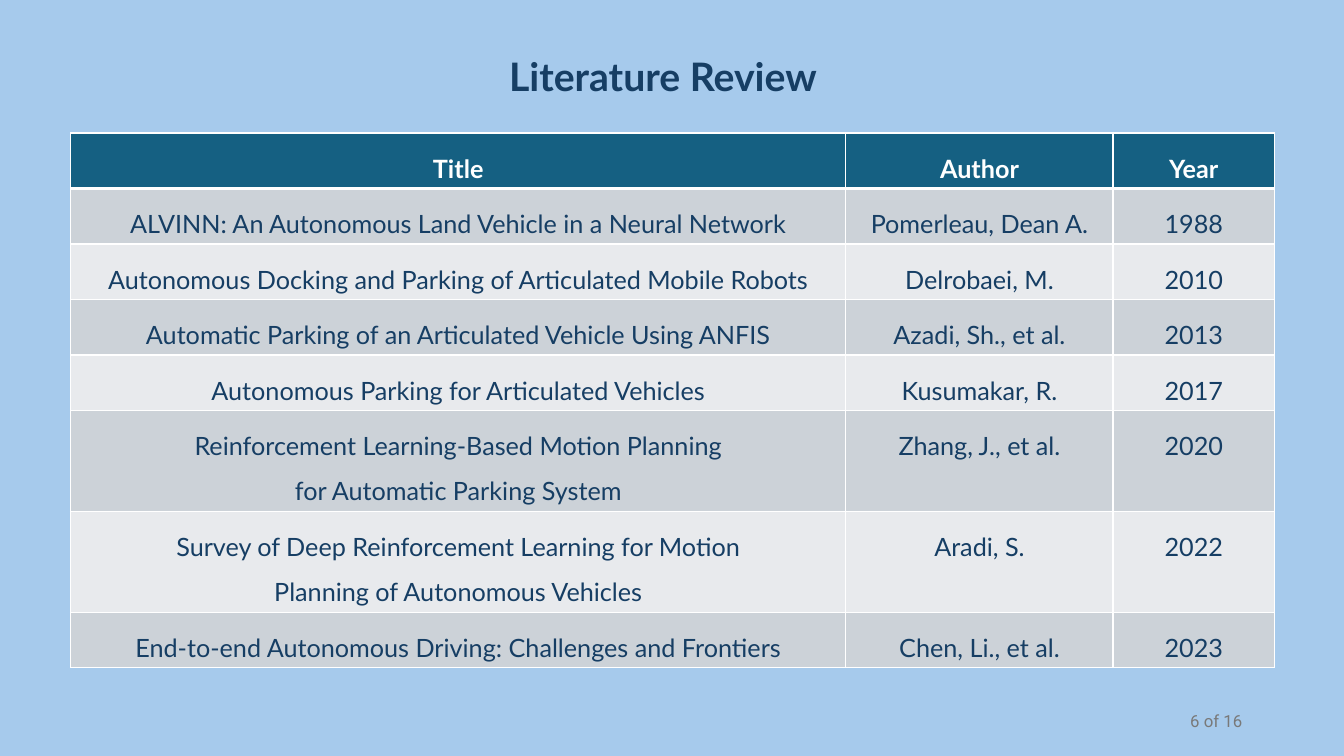
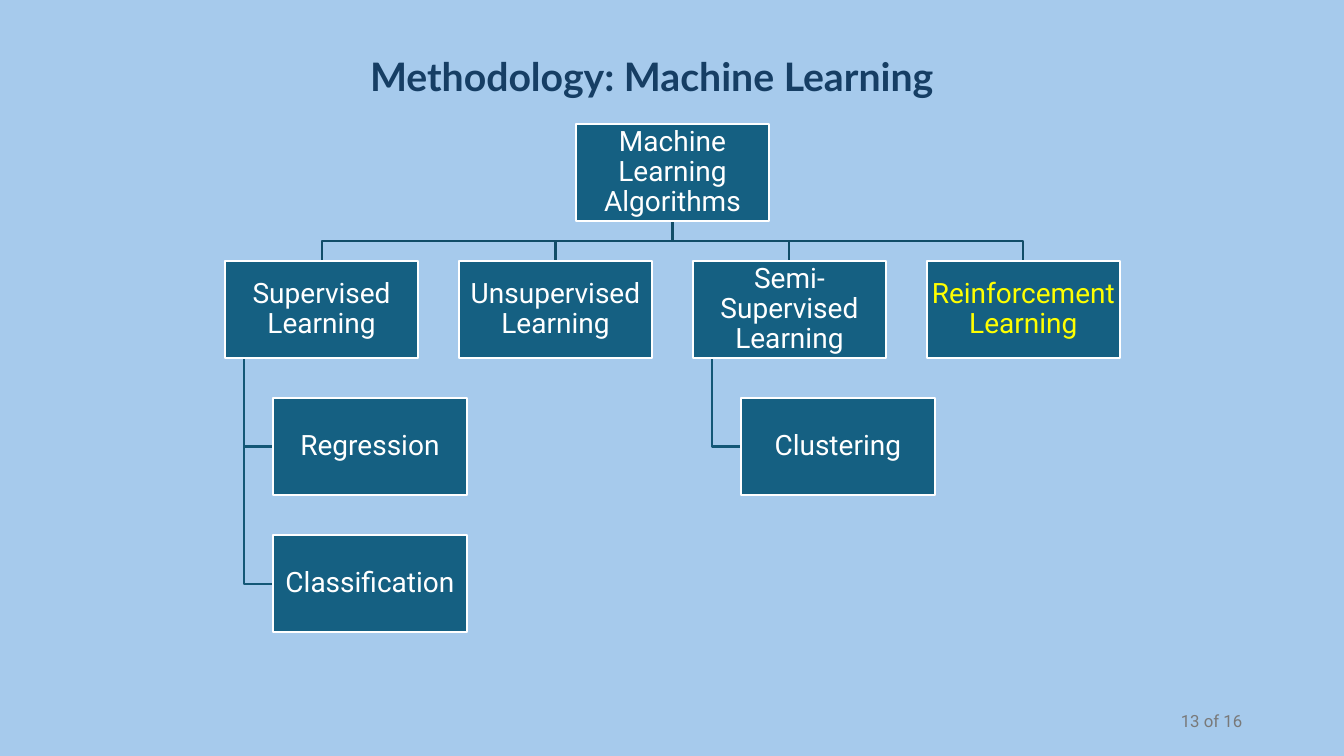
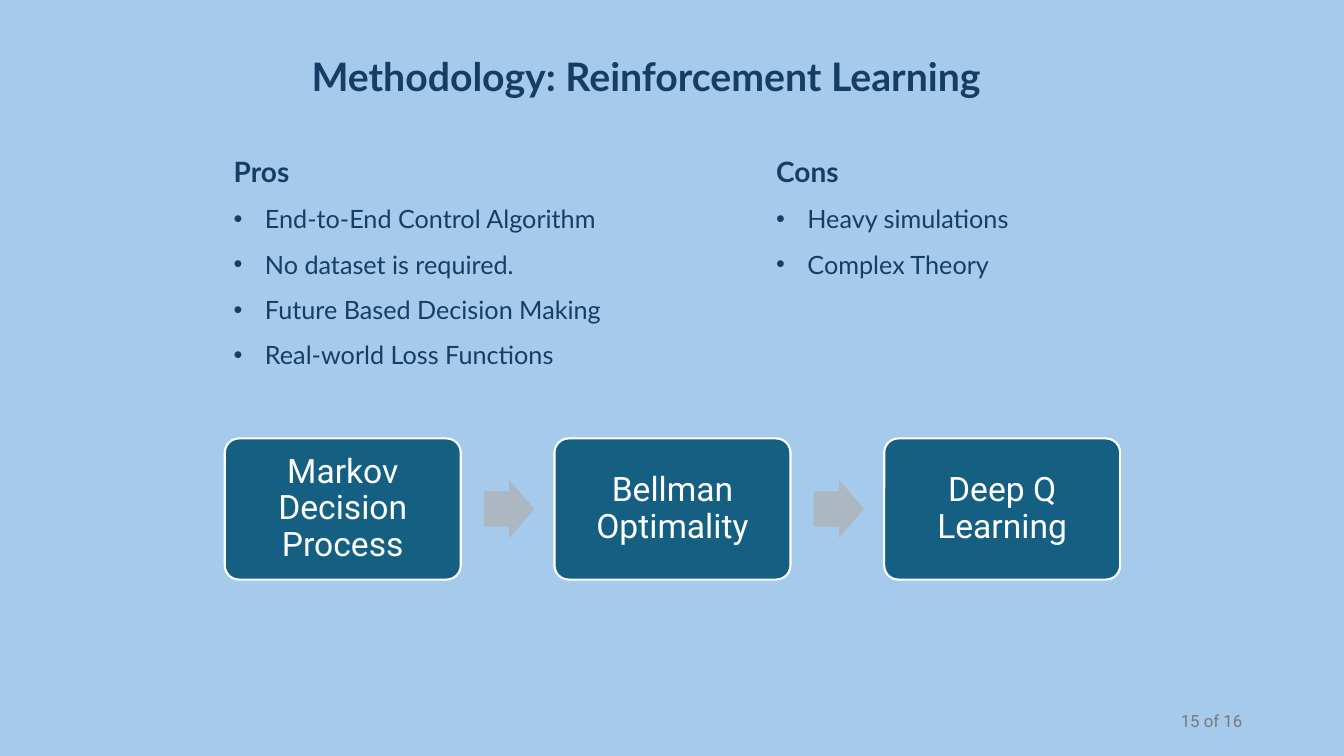
from lxml import etree
from pptx import Presentation
from pptx.dml.color import RGBColor
from pptx.enum.shapes import MSO_SHAPE
from pptx.enum.text import MSO_ANCHOR, MSO_AUTO_SIZE, PP_ALIGN
from pptx.oxml.ns import qn
from pptx.util import Pt

# Scale: 100 px to the inch
PX = 9144

# Enum members
RECT, ROUND_RECT = MSO_SHAPE.RECTANGLE, MSO_SHAPE.ROUNDED_RECTANGLE
RIGHT_ARROW = MSO_SHAPE.RIGHT_ARROW
LEFT, CENTER, RIGHT = PP_ALIGN.LEFT, PP_ALIGN.CENTER, PP_ALIGN.RIGHT
TOP, MIDDLE = MSO_ANCHOR.TOP, MSO_ANCHOR.MIDDLE
FIXED_SIZE = MSO_AUTO_SIZE.NONE

# Colours
SKY = RGBColor(0xA6, 0xCA, 0xEC)
NAVY = RGBColor(0x16, 0x3E, 0x64)
TEAL = RGBColor(0x15, 0x60, 0x82)
BRANCH = RGBColor(0x11, 0x4D, 0x68)
TWIG = RGBColor(0x13, 0x57, 0x76)
WHITE = RGBColor(0xFF, 0xFF, 0xFF)
YELLOW = RGBColor(0xFF, 0xFF, 0x00)
GREY = RGBColor(0x79, 0x79, 0x79)
ARROW_GREY = RGBColor(0xAC, 0xB7, 0xC1)
BAND_DARK = RGBColor(0xCC, 0xD2, 0xD8)
BAND_LIGHT = RGBColor(0xE8, 0xEA, 0xED)

# Text formats
TITLE = {"name": "Lato", "size": Pt(28), "bold": True}
HEADING = {"name": "Lato", "size": Pt(20), "bold": True}
HEADER_CELL = {"name": "Lato", "size": Pt(18), "bold": True}
BODY = {"name": "Lato", "size": Pt(18), "bold": False}
NODE = {"name": "Roboto", "size": Pt(20)}
STEP = {"name": "Roboto", "size": Pt(24)}
FOOTER = {"name": "Roboto", "size": Pt(12)}

PAGE_COUNT = 16
BULLET_INDENT = 31


class Slides:
    """Shared style, the deck and the slide being built."""

    def __init__(self):
        self.deck = Presentation()
        self.deck.slide_width = 1333 * PX
        self.deck.slide_height = 750 * PX
        fill = self.deck.slide_master.background.fill
        fill.solid()
        fill.fore_color.rgb = SKY
        self.page = None

    def start(self, title, left, width, number):
        """Add a slide with its title and page number."""
        self.page = self.deck.slides.add_slide(self.deck.slide_layouts[5])
        box = self.page.shapes.title
        self.place(box, left, 0, width, 93)
        self.frame(box, TOP)
        self.add_text(box.text_frame.paragraphs[0], title, TITLE, NAVY, LEFT, 2.0)
        box = self.text_box(942, 695, 300, 40, MIDDLE)
        self.add_text(box.text_frame.paragraphs[0], f"{number} of {PAGE_COUNT}",
                      FOOTER, GREY, RIGHT)

    def place(self, box, left, top, width, height):
        sides = {"left": left, "top": top, "width": width, "height": height}
        for side, length in sides.items():
            setattr(box, side, length * PX)

    def frame(self, box, anchor, inset=None):
        settings = {"word_wrap": True, "auto_size": FIXED_SIZE,
                    "vertical_anchor": anchor}
        if inset is not None:
            for side in ("left", "top", "right", "bottom"):
                settings[f"margin_{side}"] = inset * PX
        for name, value in settings.items():
            setattr(box.text_frame, name, value)

    def add_text(self, para, text, style, color, align=LEFT, spacing=1.0):
        para.alignment = align
        para.line_spacing = spacing
        span = para.add_run()
        span.text = text
        for name, value in style.items():
            setattr(span.font, name, value)
        span.font.color.rgb = color

    def text_box(self, left, top, width, height, anchor=TOP):
        box = self.page.shapes.add_textbox(
            left * PX, top * PX, width * PX, height * PX)
        self.frame(box, anchor)
        return box

    def shape(self, kind, left, top, width, height, fill, adjust=(), line=None):
        box = self.page.shapes.add_shape(
            kind, left * PX, top * PX, width * PX, height * PX)
        box.shadow.inherit = False
        box.fill.solid()
        box.fill.fore_color.rgb = fill
        for index, value in enumerate(adjust):
            box.adjustments[index] = value
        if line is None:
            box.line.fill.background()
        else:
            box.line.color.rgb = line
            box.line.width = Pt(1.5)
        return box

    def label_box(self, kind, left, top, width, height, text, style,
                  color=WHITE, inset=1, adjust=()):
        """A teal box with a white edge and centred text."""
        box = self.shape(kind, left, top, width, height, TEAL, adjust, WHITE)
        self.frame(box, MIDDLE, inset)
        self.add_text(box.text_frame.paragraphs[0], text, style, color, CENTER, 0.9)

    def elbow(self, points, color):
        """An open line with square bends."""
        builder = self.page.shapes.build_freeform(*points[0], scale=PX)
        builder.add_line_segments(points[1:], close=False)
        line = builder.convert_to_shape()
        line.shadow.inherit = False
        line.fill.background()
        line.line.color.rgb = color
        line.line.width = Pt(1.5)

    def bullet_list(self, left, top, width, height, heading, items):
        frame = self.text_box(left, top, width, height).text_frame
        self.add_text(frame.paragraphs[0], heading, HEADING, NAVY, spacing=1.5)
        for item in items:
            para = frame.add_paragraph()
            props = para._p.get_or_add_pPr()
            props.set("marL", str(BULLET_INDENT * PX))
            props.set("indent", str(-BULLET_INDENT * PX))
            etree.SubElement(props, qn("a:buFont")).set("typeface", "Arial")
            etree.SubElement(props, qn("a:buChar")).set("char", "•")
            self.add_text(para, item, BODY, NAVY, spacing=1.5)

    def table(self, left, top, widths, rows):
        """A header row and banded rows; a title's lines set its row height."""
        heights = [100 if "\n" in row[0] else 55 for row in rows]
        table = self.page.shapes.add_table(
            len(rows), len(widths), left * PX, top * PX,
            sum(widths) * PX, sum(heights) * PX).table
        table.horz_banding = False
        for column, width in zip(table.columns, widths):
            column.width = width * PX
        for index, values in enumerate(rows):
            table.rows[index].height = heights[index] * PX
            header = index == 0
            fill = TEAL if header else (BAND_LIGHT, BAND_DARK)[index % 2]
            style, color = (HEADER_CELL, WHITE) if header else (BODY, NAVY)
            for cell, value in zip(table.rows[index].cells, values):
                self.borders(cell, {"L": 1, "R": 1, "T": 3 if index == 1 else 1,
                                    "B": 3 if header else 1})
                cell.fill.solid()
                cell.fill.fore_color.rgb = fill
                frame = cell.text_frame
                for number, text in enumerate(value.split("\n")):
                    para = frame.add_paragraph() if number else frame.paragraphs[0]
                    self.add_text(para, text, style, color, CENTER, 1.5)

    def borders(self, cell, points):
        props = cell._tc.get_or_add_tcPr()
        for side, width in points.items():
            line = etree.SubElement(props, qn(f"a:ln{side}"), w=str(int(Pt(width))))
            fill = etree.SubElement(line, qn("a:solidFill"))
            etree.SubElement(fill, qn("a:srgbClr"), val=str(WHITE))


def literature(slides):
    slides.start("Literature Review", 495, 343, 6)
    slides.table(70, 132, (769, 265, 160), [
        ("Title", "Author", "Year"),
        ("ALVINN: An Autonomous Land Vehicle in a Neural Network",
         "Pomerleau, Dean A.", "1988"),
        ("Autonomous Docking and Parking of Articulated Mobile Robots",
         "Delrobaei, M.", "2010"),
        ("Automatic Parking of an Articulated Vehicle Using ANFIS",
         "Azadi, Sh., et al.", "2013"),
        ("Autonomous Parking for Articulated Vehicles", "Kusumakar, R.", "2017"),
        ("Reinforcement Learning-Based Motion Planning\n"
         "for Automatic Parking System", "Zhang, J., et al.", "2020"),
        ("Survey of Deep Reinforcement Learning for Motion\n"
         "Planning of Autonomous Vehicles", "Aradi, S.", "2022"),
        ("End-to-end Autonomous Driving: Challenges and Frontiers",
         "Chen, Li., et al.", "2023"),
    ])


def machine_learning(slides):
    slides.start("Methodology: Machine Learning", 357, 620, 13)
    width, height = 192, 96
    step_x, step_y = 232, 136
    left, top = 223, 123
    families = [
        ("Supervised Learning", WHITE, ("Regression", "Classification")),
        ("Unsupervised Learning", WHITE, ()),
        ("Semi-Supervised Learning", WHITE, ("Clustering",)),
        ("Reinforcement Learning", YELLOW, ()),
    ]
    root_left = left + (len(families) - 1) * step_x // 2
    root_x, root_bottom = root_left + width // 2, top + height
    family_top = top + step_y
    bus_y = (root_bottom + family_top) // 2

    # Lines first, so that the boxes lie over their ends
    nodes = [(root_left, top, "Machine Learning Algorithms", WHITE)]
    for column, (name, color, members) in enumerate(families):
        x = left + column * step_x
        middle = x + width // 2
        slides.elbow([(root_x, root_bottom), (root_x, bus_y),
                      (middle, bus_y), (middle, family_top)], BRANCH)
        nodes.append((x, family_top, name, color))
        for row, member in enumerate(members, 1):
            y = family_top + row * step_y
            stem_x, member_x, member_y = x + 19, x + 48, y + height // 2
            slides.elbow([(stem_x, family_top + height), (stem_x, member_y),
                          (member_x, member_y)], TWIG)
            nodes.append((member_x, y, member, WHITE))

    for x, y, name, color in nodes:
        slides.label_box(RECT, x, y, width, height, name, NODE, color)


def reinforcement_learning(slides):
    slides.start("Methodology: Reinforcement Learning", 299, 736, 15)

    # Process
    steps = ["Markov Decision Process", "Bellman Optimality", "Deep Q Learning"]
    for index, name in enumerate(steps):
        left = 223 + index * 327
        slides.label_box(ROUND_RECT, left, 435, 234, 140, name, STEP,
                         inset=10, adjust=(0.1,))
        if index < len(steps) - 1:
            slides.shape(RIGHT_ARROW, left + 257, 476, 50, 58, ARROW_GREY,
                         (0.6, 0.5))

    # Pros and cons
    slides.bullet_list(222, 132, 434, 242, "Pros", [
        "End-to-End Control Algorithm", "No dataset is required.",
        "Future Based Decision Making", "Real-world Loss Functions"])
    slides.bullet_list(760, 132, 275, 148, "Cons", [
        "Heavy simulations", "Complex Theory"])


def main():
    slides = Slides()
    literature(slides)
    machine_learning(slides)
    reinforcement_learning(slides)
    slides.deck.save("out.pptx")


if __name__ == "__main__":
    main()
